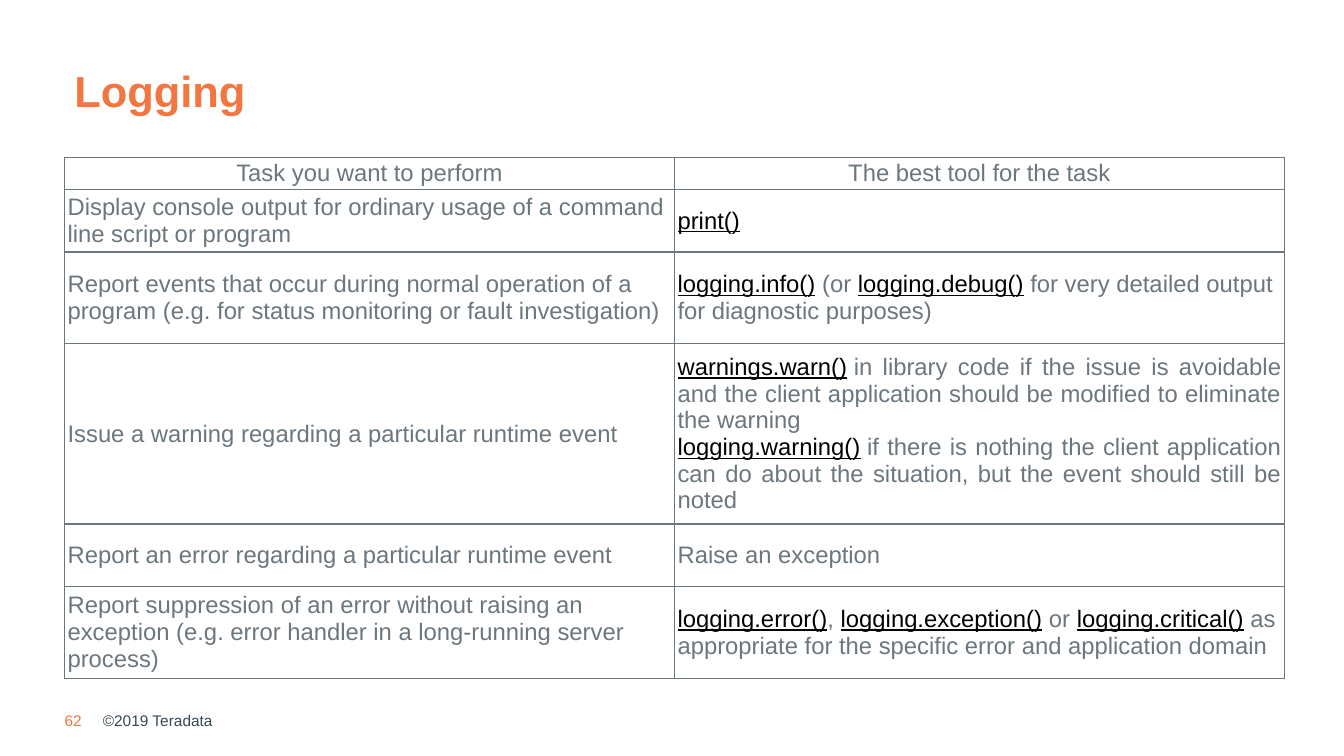
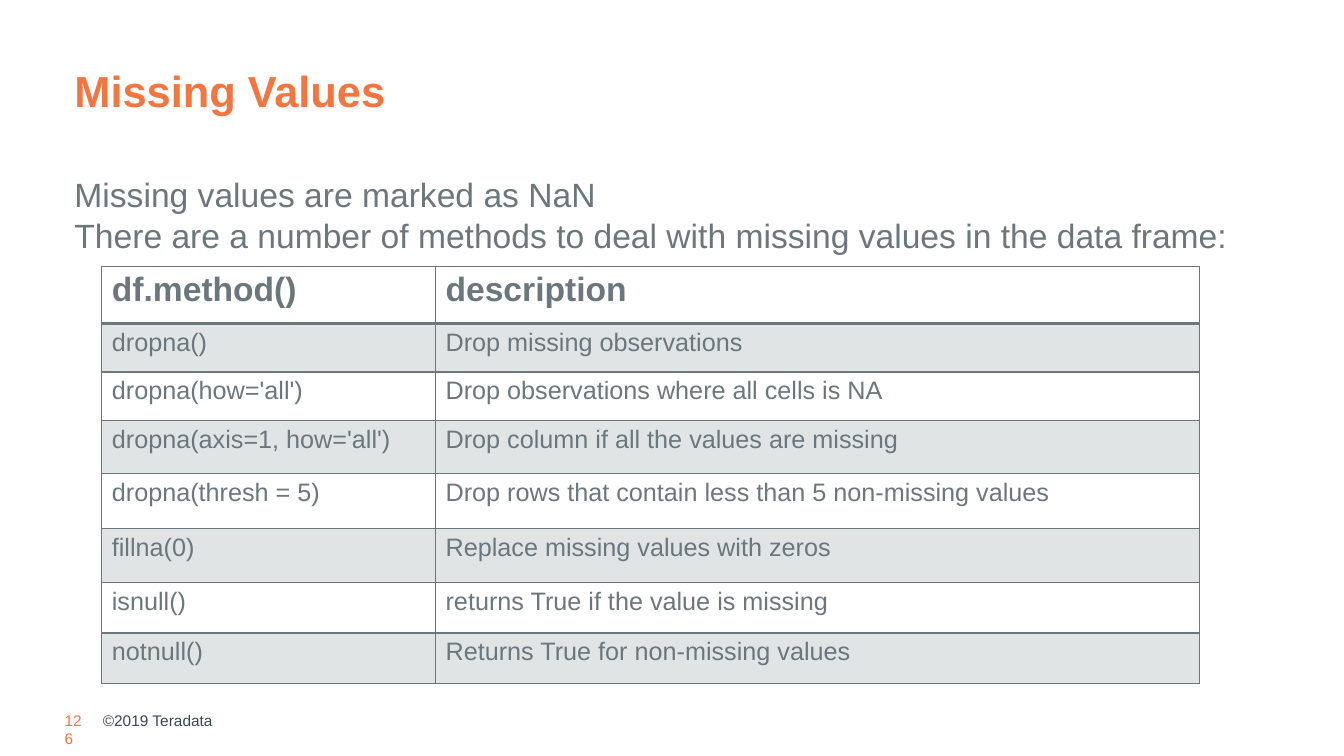
from lxml import etree
from pptx import Presentation
from pptx.dml.color import RGBColor
from pptx.enum.text import MSO_ANCHOR, PP_ALIGN
from pptx.oxml.ns import qn
from pptx.util import Inches, Pt

TOP, MIDDLE, BOTTOM = MSO_ANCHOR.TOP, MSO_ANCHOR.MIDDLE, MSO_ANCHOR.BOTTOM
LEFT, CENTER, JUSTIFY = PP_ALIGN.LEFT, PP_ALIGN.CENTER, PP_ALIGN.JUSTIFY

FONT = "Arial"
ORANGE, GRAY, DARK, BLACK = "F3753F", "6B767D", "384951", "000000"
WHITE, BAND = "FFFFFF", "E1E4E5"
MARGIN = 0.64
DEFAULT_INSETS = (0.1, 0.05)
COPYRIGHT = "©2019 Teradata"
NO_BREAK_SPACE = chr(160)

# Text between backticks is an underlined function name.
LOGGING_ROWS = [
    (["Task you want to perform"], ["The best tool for the task"]),
    (["Display console output for ordinary usage of a command line script or program"],
     ["`print()`"]),
    (["Report events that occur during normal operation of a program "
      "(e.g. for status monitoring or fault investigation)"],
     ["`logging.info()` (or `logging.debug()` for very detailed output "
      "for diagnostic purposes)"]),
    (["Issue a warning regarding a particular runtime event"],
     ["`warnings.warn()` in library code if the issue is avoidable and the client "
      "application should be modified to eliminate the warning",
      "`logging.warning()` if there is nothing the client application can do about "
      "the situation, but the event should still be noted"]),
    (["Report an error regarding a particular runtime event"], ["Raise an exception"]),
    (["Report suppression of an error without raising an exception "
      "(e.g. error handler in a long-running server process)"],
     ["`logging.error()`, `logging.exception()` or `logging.critical()` as appropriate "
      "for the specific error and application domain"]),
]
LOGGING_HEIGHTS = [0.32, 0.62, 0.91, 1.79, 0.62, 0.91]

MISSING_INTRO = [
    "Missing values are marked as NaN",
    "There are a number of methods to deal with missing values in the data frame:",
]
MISSING_ROWS = [
    ("df.method()", "description"),
    ("dropna()", "Drop missing observations"),
    ("dropna(how='all')", "Drop observations where all cells is NA"),
    ("dropna(axis=1, how='all')", "Drop column if all the values are missing"),
    ("dropna(thresh = 5)", "Drop rows that contain less than 5 non-missing values"),
    ("fillna(0)", "Replace missing values with zeros"),
    ("isnull()", "returns True if the value is missing"),
    ("notnull()", "Returns True for non-missing values"),
]
MISSING_HEIGHTS = [0.57, 0.48, 0.48, 0.53, 0.54, 0.54, 0.5, 0.5]


def color(value):
    return RGBColor.from_string(value)


def write(frame, paragraphs, size, text_color=GRAY, bold=False, align=LEFT, spacing=None):
    """Fill a text frame, underlining the parts between backticks."""
    for index, text in enumerate(paragraphs):
        paragraph = frame.paragraphs[0] if index == 0 else frame.add_paragraph()
        paragraph.alignment = align
        if spacing:
            paragraph.line_spacing = spacing
        text = text.replace("` ", "`" + NO_BREAK_SPACE).replace(" `", NO_BREAK_SPACE + "`")
        for position, part in enumerate(text.split("`")):
            if not part:
                continue
            is_code = position % 2 == 1
            run = paragraph.add_run()
            run.text = part
            font = run.font
            font.name, font.size, font.bold = FONT, Pt(size), bold
            font.color.rgb = color(BLACK if is_code else text_color)
            if is_code:
                font.underline = True


def set_insets(target, insets):
    horizontal, vertical = map(Inches, insets)
    target.margin_left = target.margin_right = horizontal
    target.margin_top = target.margin_bottom = vertical


def add_text(slide, box, paragraphs, size, anchor=TOP, insets=DEFAULT_INSETS, **style):
    frame = slide.shapes.add_textbox(*map(Inches, box)).text_frame
    frame.word_wrap = True
    frame.vertical_anchor = anchor
    set_insets(frame, insets)
    write(frame, paragraphs, size, **style)


def add_slide(presentation, title, number):
    """Add a slide with the shared title and footer."""
    slide = presentation.slides.add_slide(presentation.slide_layouts[6])
    add_text(slide, (MARGIN, 0.43, 11.5, 0.78), [title], 31, BOTTOM,
             text_color=ORANGE, bold=True, spacing=0.9)
    add_text(slide, (MARGIN, 7.05, 0.19, 0.19), [str(number)], 11,
             insets=(0, 0), text_color=ORANGE)
    add_text(slide, (1.02, 7.05, 3, 0.19), [COPYRIGHT], 11, MIDDLE,
             insets=(0, 0), text_color=DARK)
    return slide


def add_grid(slide, left, top, widths, heights):
    table = slide.shapes.add_table(
        len(heights), len(widths), Inches(left), Inches(top),
        Inches(sum(widths)), Inches(sum(heights))).table
    for column, width in zip(table.columns, widths):
        column.width = Inches(width)
    for row, height in zip(table.rows, heights):
        row.height = Inches(height)
    return table


def style_cell(cell, fill, anchor=TOP, insets=DEFAULT_INSETS, top=1, bottom=1):
    """Set borders (widths in points), fill, anchor and insets of a cell."""
    cell.vertical_anchor = anchor
    set_insets(cell, insets)
    properties = cell._tc.get_or_add_tcPr()
    for side, width in (("L", 1), ("R", 1), ("T", top), ("B", bottom)):
        line = etree.SubElement(properties, qn("a:ln" + side), w=str(Pt(width)))
        solid = etree.SubElement(line, qn("a:solidFill"))
        etree.SubElement(solid, qn("a:srgbClr"), val=GRAY)
    cell.fill.solid()
    cell.fill.fore_color.rgb = color(fill)


def build_logging(presentation):
    slide = add_slide(presentation, "Logging", 62)
    table = add_grid(slide, MARGIN, 1.56, [6.05, 6.05], LOGGING_HEIGHTS)
    for row, cells in enumerate(LOGGING_ROWS):
        for column, paragraphs in enumerate(cells):
            cell = table.cell(row, column)
            style_cell(cell, WHITE, MIDDLE, (0.03, 0.01))
            align = CENTER if row == 0 else JUSTIFY if len(paragraphs) > 1 else LEFT
            write(cell.text_frame, paragraphs, 17, align=align)


def build_missing_values(presentation):
    slide = add_slide(presentation, "Missing Values", 126)
    add_text(slide, (MARGIN, 1.68, 11.98, 1.31), MISSING_INTRO, 24)
    table = add_grid(slide, 1.01, 2.64, [3.31, 7.58], MISSING_HEIGHTS)
    for row, texts in enumerate(MISSING_ROWS):
        is_header = row == 0
        for column, text in enumerate(texts):
            cell = table.cell(row, column)
            style_cell(cell, BAND if row % 2 else WHITE,
                       top=2 if row == 1 else 1, bottom=2 if is_header else 1)
            write(cell.text_frame, [text], 24 if is_header else 18, bold=is_header)


def main():
    presentation = Presentation()
    presentation.slide_width, presentation.slide_height = Inches(13.33), Inches(7.5)
    build_logging(presentation)
    build_missing_values(presentation)
    presentation.save("out.pptx")


if __name__ == "__main__":
    main()
